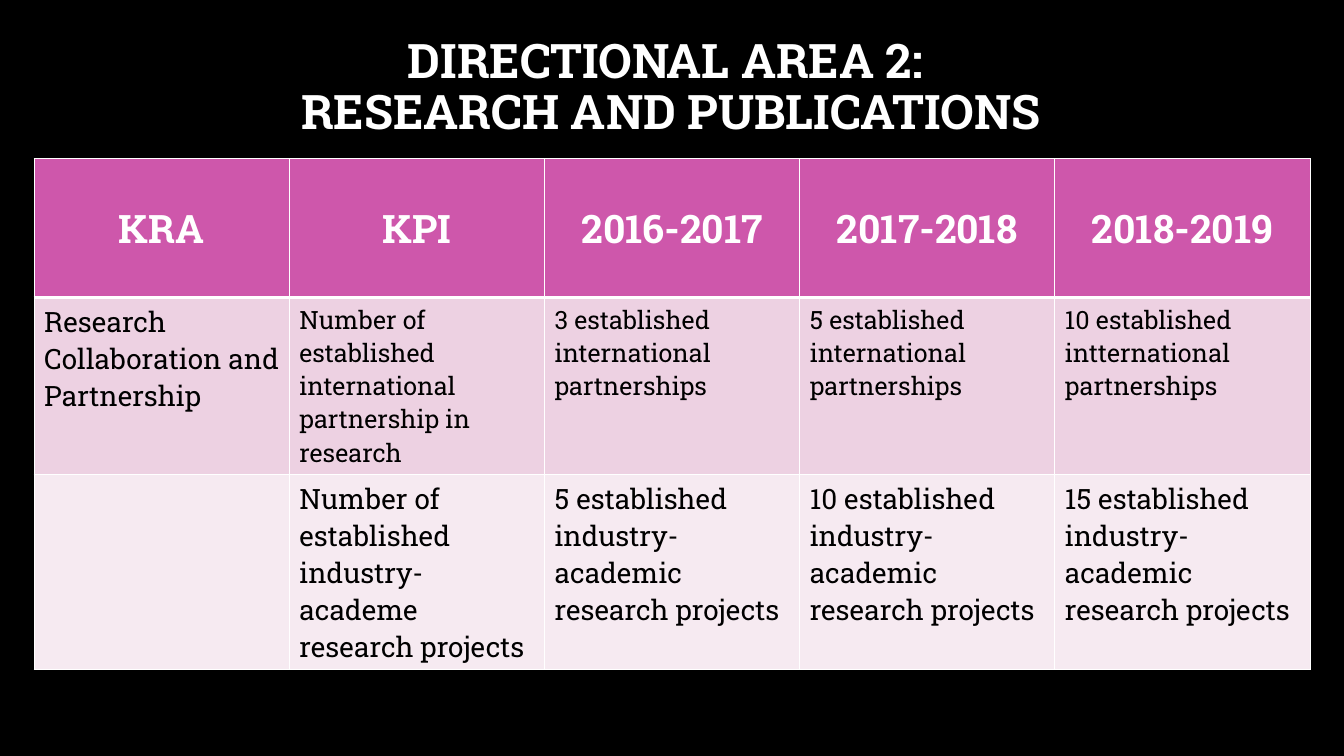
from dataclasses import dataclass

from lxml.etree import SubElement
from pptx import Presentation
from pptx.dml.color import RGBColor
from pptx.enum.text import MSO_ANCHOR as Anchor, PP_ALIGN as Align
from pptx.oxml.ns import qn
from pptx.util import Cm, Pt


@dataclass(frozen=True)
class Theme:
    font: str = "Roboto Slab"
    background: str = "000000"
    light: str = "FFFFFF"
    dark: str = "000000"
    header_fill: str = "CE57AB"
    row_fills: tuple = ("EDD1E2", "F6EAF1")
    title_size: int = 34
    header_size: int = 28
    body_size: int = 20
    small_size: int = 18
    border: int = 1
    header_rule: int = 3


THEME = Theme()
TITLE = "DIRECTIONAL AREA 2: \vRESEARCH AND PUBLICATIONS"
HEADINGS = ("KRA", "KPI", "2016-2017", "2017-2018", "2018-2019")
TARGETS = (
    (
        "Research Collaboration and Partnership",
        "Number of established international partnership in research",
        "3 established international partnerships",
        "5 established international partnerships",
        "10 established intternational partnerships",
    ),
    (
        "",
        "Number of established industry-academe research projects",
        "5 established industry-academic research projects",
        "10 established industry-academic research projects",
        "15 established industry-academic research projects",
    ),
)
ROW_HEIGHTS = (Cm(3.5), Cm(4.46), Cm(4.92))


def write(frame, text, size, color, bold=False, align=Align.LEFT):
    frame.text = text
    paragraph = frame.paragraphs[0]
    paragraph.alignment = align
    for run in paragraph.runs:
        run.font.name = THEME.font
        run.font.size = Pt(size)
        run.font.bold = bold
        run.font.color.rgb = RGBColor.from_string(color)
    return paragraph


def set_borders(cell, top, bottom):
    properties = cell._tc.get_or_add_tcPr()
    widths = {"L": THEME.border, "R": THEME.border, "T": top, "B": bottom}
    for side, width in widths.items():
        line = SubElement(properties, qn(f"a:ln{side}"), w=str(Pt(width)))
        fill = SubElement(line, qn("a:solidFill"))
        SubElement(fill, qn("a:srgbClr"), val=THEME.light)


def set_fill(cell, color):
    cell.fill.solid()
    cell.fill.fore_color.rgb = RGBColor.from_string(color)


def add_title(slide):
    title = slide.shapes.add_textbox(Cm(2.54), Cm(0.4), Cm(28.75), Cm(3.68))
    frame = title.text_frame
    frame.word_wrap = True
    frame.vertical_anchor = Anchor.MIDDLE
    heading = write(frame, TITLE, THEME.title_size, THEME.light, True, Align.CENTER)
    heading.line_spacing = 0.9


def fill_header(table):
    for cell, heading in zip(table.rows[0].cells, HEADINGS):
        write(cell.text_frame, heading, THEME.header_size, THEME.light, True, Align.CENTER)
        cell.vertical_anchor = Anchor.MIDDLE
        set_borders(cell, THEME.border, THEME.header_rule)
        set_fill(cell, THEME.header_fill)


def fill_targets(table):
    for index, targets in enumerate(TARGETS):
        top = THEME.border if index else THEME.header_rule
        for column, target in enumerate(targets):
            small = index == 0 and column > 0
            size = THEME.small_size if small else THEME.body_size
            cell = table.cell(index + 1, column)
            write(cell.text_frame, target, size, THEME.dark)
            set_borders(cell, top, THEME.border)
            set_fill(cell, THEME.row_fills[index])


def add_targets_table(slide):
    table = slide.shapes.add_table(
        len(ROW_HEIGHTS), len(HEADINGS), Cm(0.86), Cm(4), Cm(32.16), sum(ROW_HEIGHTS)
    ).table
    for row, height in zip(table.rows, ROW_HEIGHTS):
        row.height = height
    fill_header(table)
    fill_targets(table)


def main():
    deck = Presentation()
    deck.slide_width, deck.slide_height = Cm(33.87), Cm(19.05)
    slide = deck.slides.add_slide(deck.slide_layouts[6])
    slide.background.fill.solid()
    slide.background.fill.fore_color.rgb = RGBColor.from_string(THEME.background)
    add_title(slide)
    add_targets_table(slide)
    deck.save("out.pptx")


if __name__ == "__main__":
    main()
